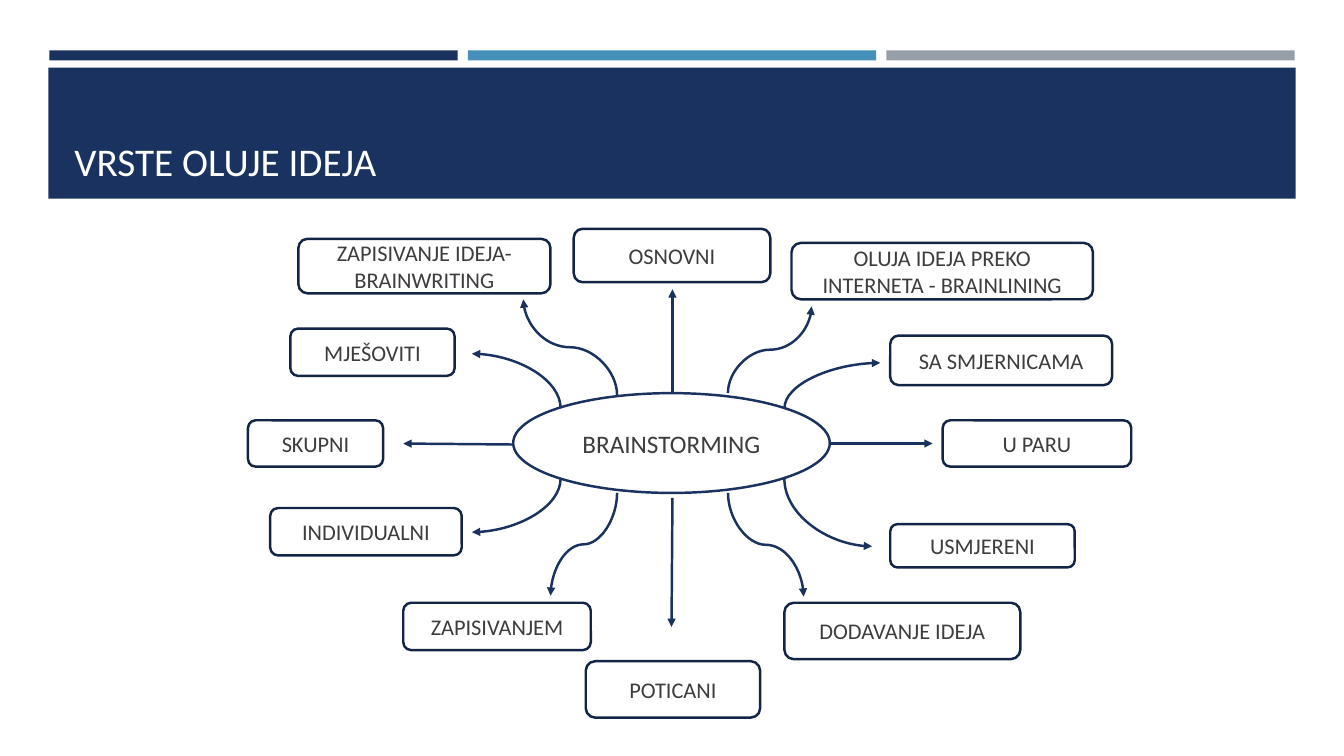
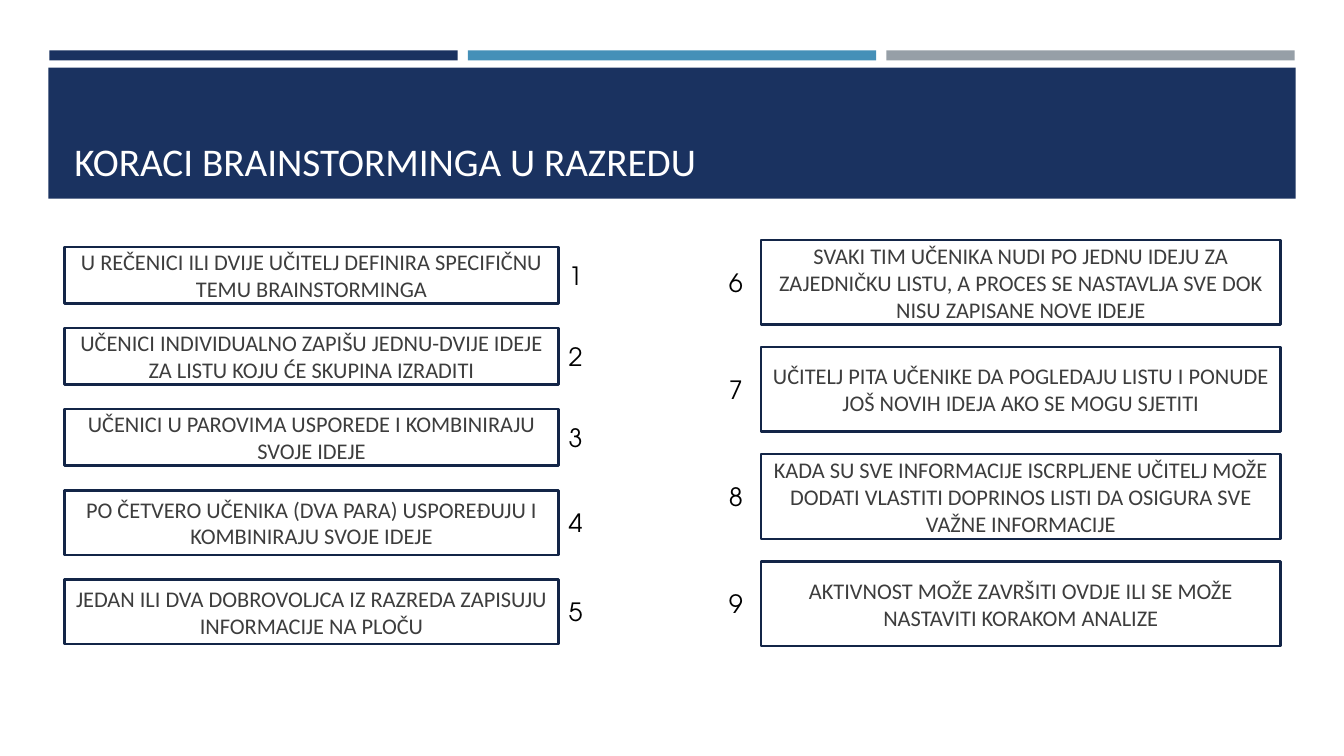
import pptx
import pptx.util
import pptx.dml.color
import pptx.enum.shapes
import pptx.enum.text
import pptx.oxml.ns
import lxml.etree

KIND = pptx.enum.shapes.MSO_SHAPE
LINK = pptx.enum.shapes.MSO_CONNECTOR
ALIGN = pptx.enum.text.PP_ALIGN
ANCHOR = pptx.enum.text.MSO_ANCHOR
qn = pptx.oxml.ns.qn

SCALE = 9144
NAVY, EDGE, BLUE, GREY = "1A3260", "132547", "4590B8", "969FA7"
WHITE, BLACK, INK = "FFFFFF", "000000", "3D3D3D"
MAIN, DIGIT = "Calibri", "TeX Gyre Adventor"
STROKE = 1.75

TITLES = ["VRSTE OLUJE IDEJA", "KORACI BRAINSTORMINGA U RAZREDU"]

HUB = ("BRAINSTORMING", (509, 390, 314, 99))
TYPES = [
    ("OSNOVNI", (569, 227, 195, 53)),
    ("OLUJA IDEJA PREKO INTERNETA - BRAINLINING", (785, 241, 299, 56)),
    ("SA SMJERNICAMA", (883, 333, 220, 49)),
    ("U PARU", (935, 417, 187, 46)),
    ("USMJERENI", (883, 520, 183, 43)),
    ("DODAVANJE IDEJA", (778, 598, 234, 56)),
    ("POTICANI", (581, 656, 173, 56)),
    ("ZAPISIVANJEM", (400, 598, 186, 47)),
    ("INDIVIDUALNI", (268, 504, 190, 47)),
    ("SKUPNI", (246, 417, 134, 46)),
    ("MJEŠOVITI", (288, 326, 163, 47)),
    ("ZAPISIVANJE IDEJA-BRAINWRITING", (296, 237, 250, 54)),
]
RAYS = [
    ((667, 390), (667, 287)),
    ((824, 440), (925, 440)),
    ((667, 494), (666, 622)),
    ((509, 441), (400, 440)),
]
BENDS = [
    ((778, 405), (873, 360)),
    ((778, 475), (865, 542)),
    ((556, 475), (468, 528)),
    ((556, 405), (468, 351)),
]
WAVES = [
    ((722, 390), (805, 304)),
    ((722, 489), (797, 592)),
    ((612, 489), (546, 591)),
    ((612, 392), (519, 297)),
]

STEPS = [
    {"left": 64, "width": 490, "top": 245, "end": 639, "mark": 554, "first": 1,
     "rows": [
         ("U REČENICI ILI DVIJE UČITELJ DEFINIRA SPECIFIČNU TEMU BRAINSTORMINGA", 56),
         ("UČENICI INDIVIDUALNO ZAPIŠU JEDNU-DVIJE IDEJE ZA LISTU KOJU ĆE SKUPINA IZRADITI", 56),
         ("UČENICI U PAROVIMA USPOREDE I KOMBINIRAJU SVOJE IDEJE", 56),
         ("PO ČETVERO UČENIKA (DVA PARA) USPOREĐUJU I KOMBINIRAJU SVOJE IDEJE", 64),
         ("JEDAN ILI DVA DOBROVOLJCA IZ RAZREDA ZAPISUJU INFORMACIJE NA PLOČU", 64),
     ]},
    {"left": 755, "width": 515, "top": 238, "end": 641, "mark": 713, "first": 6,
     "rows": [
         ("SVAKI TIM UČENIKA NUDI PO JEDNU IDEJU ZA ZAJEDNIČKU LISTU, A PROCES SE NASTAVLJA SVE DOK NISU ZAPISANE NOVE IDEJE", 84),
         ("UČITELJ PITA UČENIKE DA POGLEDAJU LISTU I PONUDE JOŠ NOVIH IDEJA AKO SE MOGU SJETITI", 84),
         ("KADA SU SVE INFORMACIJE ISCRPLJENE UČITELJ MOŽE DODATI VLASTITI DOPRINOS LISTI DA OSIGURA SVE VAŽNE INFORMACIJE", 84),
         ("AKTIVNOST MOŽE ZAVRŠITI OVDJE ILI SE MOŽE NASTAVITI KORAKOM ANALIZE", 84),
     ]},
]


def px(*nums):
    return [pptx.util.Emu(round(n * SCALE)) for n in nums]


def tint(code):
    return pptx.dml.color.RGBColor.from_string(code)


def write(shape, text, size, color, font=MAIN, align=ALIGN.LEFT, anchor=ANCHOR.MIDDLE):
    frame = shape.text_frame
    frame.text = text
    frame.word_wrap = True
    frame.vertical_anchor = anchor
    para = frame.paragraphs[0]
    para.alignment = align
    face = para.runs[0].font
    face.name = font
    face.size = pptx.util.Pt(size)
    face.color.rgb = tint(color)
    return para


def block(slide, kind, area, fill, edge=None):
    shape = slide.shapes.add_shape(kind, *px(*area))
    shape.shadow.inherit = False
    shape.fill.solid()
    shape.fill.fore_color.rgb = tint(fill)
    if edge:
        shape.line.color.rgb = tint(edge)
        shape.line.width = pptx.util.Pt(STROKE)
    else:
        shape.line.fill.background()
    return shape


def label(slide, kind, area, text, size=16, edge=EDGE):
    write(block(slide, kind, area, WHITE, edge), text, size, INK, align=ALIGN.CENTER)


def ink(line):
    line.line.color.rgb = tint(NAVY)
    line.line.width = pptx.util.Pt(STROKE)
    props = line._element.spPr
    tail = lxml.etree.SubElement(props.find(qn("a:ln")), qn("a:tailEnd"))
    tail.set("type", "triangle")
    lxml.etree.SubElement(props, qn("a:effectLst"))


def ray(slide, start, end):
    ink(slide.shapes.add_connector(LINK.STRAIGHT, *px(*start, *end)))


def curve(slide, start, end, preset):
    (xa, ya), (xb, yb) = start, end
    right, up = xb > xa, yb < ya
    wide, high = abs(yb - ya), abs(xb - xa)
    left, top = (xa + xb - wide) / 2, (ya + yb - high) / 2
    line = slide.shapes.add_connector(LINK.CURVE, *px(left, top, left + wide, top + high))
    props = line._element.spPr
    frame = props.find(qn("a:xfrm"))
    frame.set("rot", str(60000 * (90 if right == up else 270)))
    frame.set("flipH", str(int(right)))
    frame.set("flipV", str(int(up)))
    props.find(qn("a:prstGeom")).set("prst", preset)
    ink(line)


def base(deck, title):
    slide = deck.slides.add_slide(deck.slide_layouts[6])
    for i, color in enumerate([NAVY, BLUE, GREY]):
        block(slide, KIND.RECTANGLE, (49 + i * 415, 50, 405, 10), color)
    block(slide, KIND.RECTANGLE, (48, 67, 1237, 130), NAVY)
    head = slide.shapes.add_textbox(*px(64, 77, 1206, 111))
    write(head, title, 28, WHITE, anchor=ANCHOR.BOTTOM).line_spacing = 0.9
    return slide


def draw_map(slide):
    label(slide, KIND.OVAL, HUB[1], HUB[0], 18, NAVY)
    for start, end in RAYS:
        ray(slide, start, end)
    for preset, pairs in [("curvedConnector2", BENDS), ("curvedConnector3", WAVES)]:
        for start, end in pairs:
            curve(slide, start, end, preset)
    for text, area in TYPES:
        label(slide, KIND.ROUNDED_RECTANGLE, area, text)


def draw_steps(slide):
    for col in STEPS:
        rows, top = col["rows"], col["top"]
        gap = (col["end"] - top - sum(high for _, high in rows)) / (len(rows) - 1)
        for num, (text, high) in enumerate(rows, col["first"]):
            label(slide, KIND.RECTANGLE, (col["left"], top, col["width"], high), text)
            mark = slide.shapes.add_textbox(*px(col["mark"], top + high / 2 - 20, 35, 40))
            write(mark, str(num), 18, BLACK, DIGIT)
            top += high + gap


def main():
    deck = pptx.Presentation()
    deck.slide_width, deck.slide_height = px(1333, 750)
    for title, draw in zip(TITLES, [draw_map, draw_steps]):
        draw(base(deck, title))
    deck.save("out.pptx")


if __name__ == "__main__":
    main()
